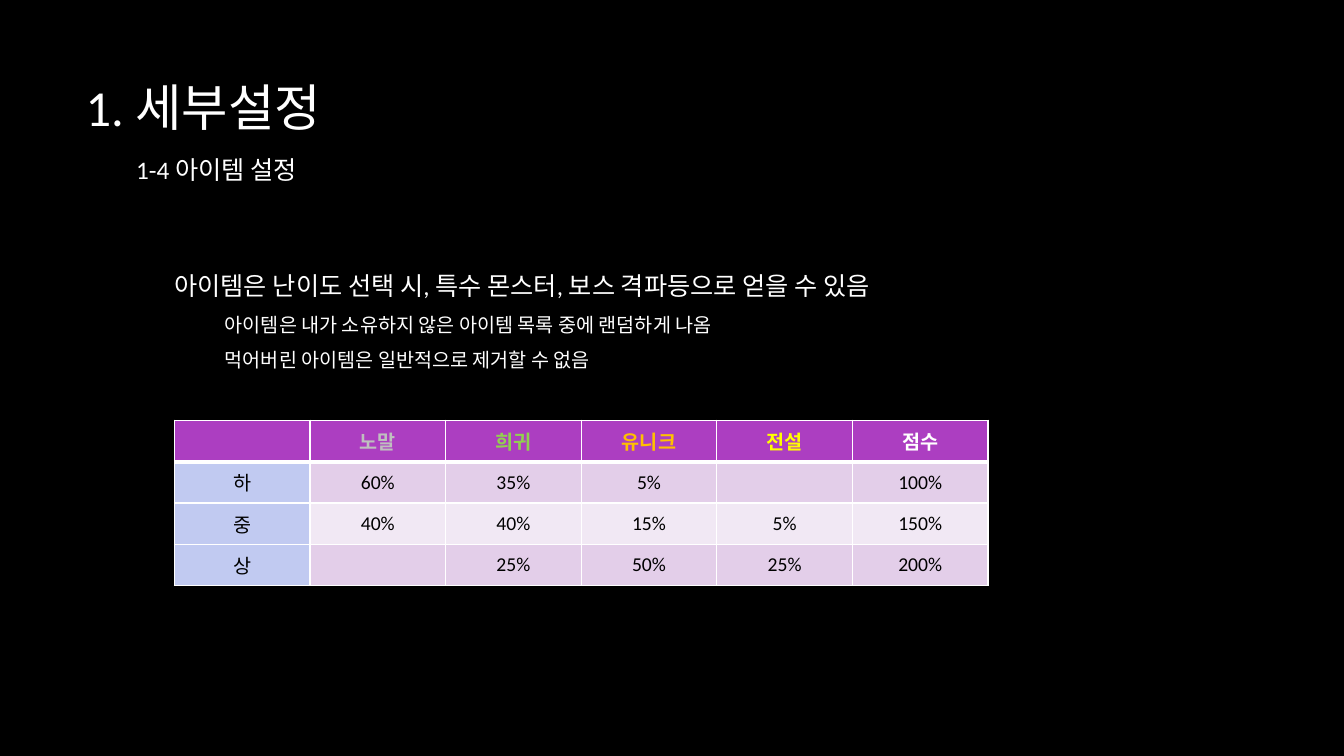
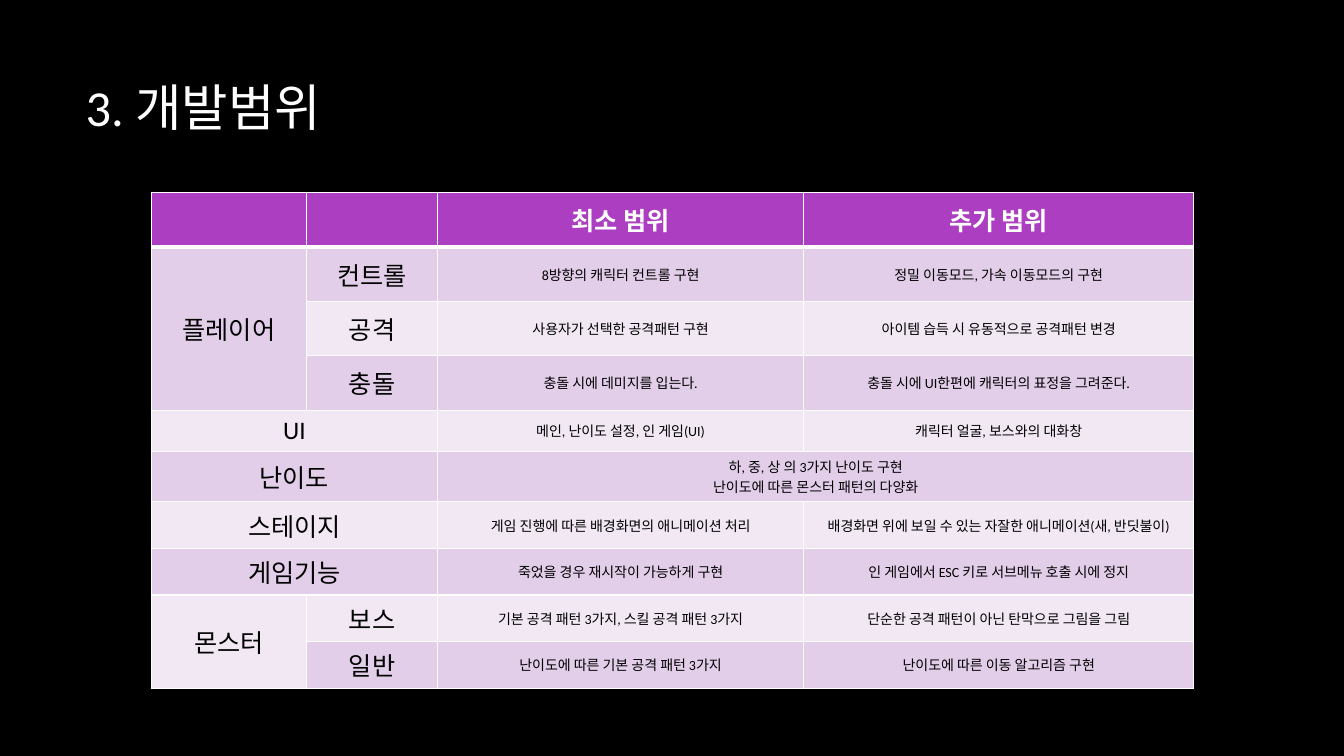
from pptx import Presentation
from pptx.dml.color import RGBColor
from pptx.enum.text import MSO_ANCHOR, MSO_AUTO_SIZE, PP_ALIGN
from pptx.oxml.ns import qn
from pptx.util import Inches, Pt
from lxml import etree

LEFT, CENTER = PP_ALIGN.LEFT, PP_ALIGN.CENTER
TOP, MIDDLE = MSO_ANCHOR.TOP, MSO_ANCHOR.MIDDLE
FIXED = MSO_AUTO_SIZE.NONE

BLACK = RGBColor(0x00, 0x00, 0x00)
WHITE = RGBColor(0xFF, 0xFF, 0xFF)
PURPLE = RGBColor(0xAC, 0x3E, 0xC1)
LILAC = RGBColor(0xE3, 0xCE, 0xE9)
PALE = RGBColor(0xF1, 0xE8, 0xF4)
BLUE = RGBColor(0xC1, 0xCA, 0xF1)
GRAY = RGBColor(0xBF, 0xBF, 0xBF)
GREEN = RGBColor(0x92, 0xD0, 0x50)
ORANGE = RGBColor(0xFF, 0xC0, 0x00)
YELLOW = RGBColor(0xFF, 0xFF, 0x00)

FONT = "Calibri"
TITLE_BOX = (0.75, 0.67, 11.08, 1.59)
BODY_BOX = (1.13, 2.26, 11.08, 3.99)
STEP = 0.5
FRAME = {"word_wrap": True, "auto_size": FIXED, "vertical_anchor": TOP}
LINE = {"alignment": LEFT, "line_spacing": 0.9}

ITEMS = [
    ("아이템은 난이도 선택 시, 특수 몬스터, 보스 격파등으로 얻을 수 있음", 18, 1),
    ("아이템은 내가 소유하지 않은 아이템 목록 중에 랜덤하게 나옴", 14, 2),
    ("먹어버린 아이템은 일반적으로 제거할 수 없음", 14, 2),
]
ODDS = [
    ["", "노말", "희귀", "유니크", "전설", "점수"],
    ["하", "60%", "35%", "5%", "", "100%"],
    ["중", "40%", "40%", "15%", "5%", "150%"],
    ["상", "", "25%", "50%", "25%", "200%"],
]
RANKS = [WHITE, GRAY, GREEN, ORANGE, YELLOW, WHITE]
SCOPE = [
    ["", "", "최소 범위", "추가 범위"],
    ["플레이어", "컨트롤", "8방향의 캐릭터 컨트롤 구현", "정밀 이동모드, 가속 이동모드의 구현"],
    ["", "공격", "사용자가 선택한 공격패턴 구현", "아이템 습득 시 유동적으로 공격패턴 변경"],
    ["", "충돌", "충돌 시에 데미지를 입는다.", "충돌 시에 UI한편에 캐릭터의 표정을 그려준다."],
    ["UI", "", "메인, 난이도 설정, 인 게임(UI)", "캐릭터 얼굴, 보스와의 대화창"],
    ["난이도", "", "하, 중, 상 의 3가지 난이도 구현\n난이도에 따른 몬스터 패턴의 다양화", ""],
    ["스테이지", "", "게임 진행에 따른 배경화면의 애니메이션 처리",
     "배경화면 위에 보일 수 있는 자잘한 애니메이션(새, 반딧불이)"],
    ["게임기능", "", "죽었을 경우 재시작이 가능하게 구현", "인 게임에서 ESC 키로 서브메뉴 호출 시에 정지"],
    ["몬스터", "보스", "기본 공격 패턴 3가지, 스킬 공격 패턴 3가지", "단순한 공격 패턴이 아닌 탄막으로 그림을 그림"],
    ["", "일반", "난이도에 따른 기본 공격 패턴 3가지", "난이도에 따른 이동 알고리즘 구현"],
]
SPANS = [(1, 0, 3, 0), (5, 2, 5, 3), (8, 0, 9, 0)] + [(row, 0, row, 1) for row in range(4, 8)]


def apply(target, form):
    for name, value in form.items():
        setattr(target, name, value)


def style(font, size, color, bold=False):
    apply(font, {"name": FONT, "size": Pt(size), "bold": bold})
    font.color.rgb = color


def place(shape, box, inset):
    sides = ("left", "top", "width", "height")
    apply(shape, {side: Inches(value) for side, value in zip(sides, box)})
    apply(shape.text_frame, {**FRAME, "margin_top": Inches(inset)})


def write(frame, lines, form):
    for i, (text, size, level) in enumerate(lines):
        para = frame.paragraphs[0] if i == 0 else frame.add_paragraph()
        apply(para, {**LINE, **form})
        if i == 0:
            para.space_before = Pt(0)
        props = para._p.get_or_add_pPr()
        props.set("marL", str(Inches(STEP * level)))
        props.set("indent", "0")
        etree.SubElement(props, qn("a:buNone"))
        run = para.add_run()
        run.text = text
        style(run.font, size, WHITE)


def add_page(deck, layout, title, sub=None):
    page = deck.slides.add_slide(deck.slide_layouts[layout])
    place(page.shapes.title, TITLE_BOX, 0.15)
    lines = [(title, 36, 0)] + ([(sub, 18, 1)] if sub else [])
    write(page.shapes.title.text_frame, lines, {"space_before": Pt(15)})
    return page


def edge(cell, row):
    props = cell._tc.get_or_add_tcPr()
    heavy = {0: "lnB", 1: "lnT"}.get(row)
    for side in ("lnL", "lnR", "lnT", "lnB"):
        width = Pt(3 if side == heavy else 1)
        line = etree.SubElement(props, qn("a:" + side), w=str(width))
        fill = etree.SubElement(line, qn("a:solidFill"))
        etree.SubElement(fill, qn("a:srgbClr"), val=str(WHITE))


def fill_cell(cell, text, size, color, back, bold):
    cell.fill.solid()
    cell.fill.fore_color.rgb = back
    cell.vertical_anchor = MIDDLE
    cell.text = text
    for para in cell.text_frame.paragraphs:
        para.alignment = CENTER
        style(para.font, size, color, bold)
        for run in para.runs:
            style(run.font, size, color, bold)


def add_grid(page, data, spot, widths, heights, sizes, heads, side=None, spans=()):
    box = [Inches(value) for value in (*spot, sum(widths), sum(heights))]
    grid = page.shapes.add_table(len(data), len(widths), *box).table
    for col, width in zip(grid.columns, widths):
        col.width = Inches(width)
    for row, height in zip(grid.rows, heights):
        row.height = Inches(height)
    for r, texts in enumerate(data):
        band = PURPLE if r == 0 else LILAC if r % 2 else PALE
        for c, text in enumerate(texts):
            cell = grid.cell(r, c)
            edge(cell, r)
            back = side if side and r and c == 0 else band
            size = sizes[c] if r else max(sizes)
            color = BLACK if r else heads[c]
            fill_cell(cell, text, size, color, back, r == 0)
    for top, left, low, right in spans:
        grid.cell(top, left).merge(grid.cell(low, right))


def add_items(deck):
    page = add_page(deck, 1, "1. 세부설정", "1-4 아이템 설정")
    body = page.placeholders[1]
    place(body, BODY_BOX, 0.46)
    write(body.text_frame, ITEMS, {"space_before": Pt(0), "space_after": Pt(10)})
    add_grid(page, ODDS, (1.73, 4.17), [1.345] * 6, [0.41] * 4, [14] * 6, RANKS, side=BLUE)


def add_scope(deck):
    page = add_page(deck, 5, "3. 개발범위")
    heights = [0.54] * 4 + [0.41, 0.5] + [0.46] * 4
    add_grid(page, SCOPE, (1.5, 1.91), [1.54, 1.3, 3.63, 3.87], heights,
             [18, 18, 10, 10], [WHITE] * 4, spans=SPANS)


def main():
    deck = Presentation()
    apply(deck, {"slide_width": Inches(13.33), "slide_height": Inches(7.5)})
    back = deck.slide_master.background.fill
    back.solid()
    back.fore_color.rgb = BLACK
    add_items(deck)
    add_scope(deck)
    deck.save("out.pptx")


if __name__ == "__main__":
    main()
